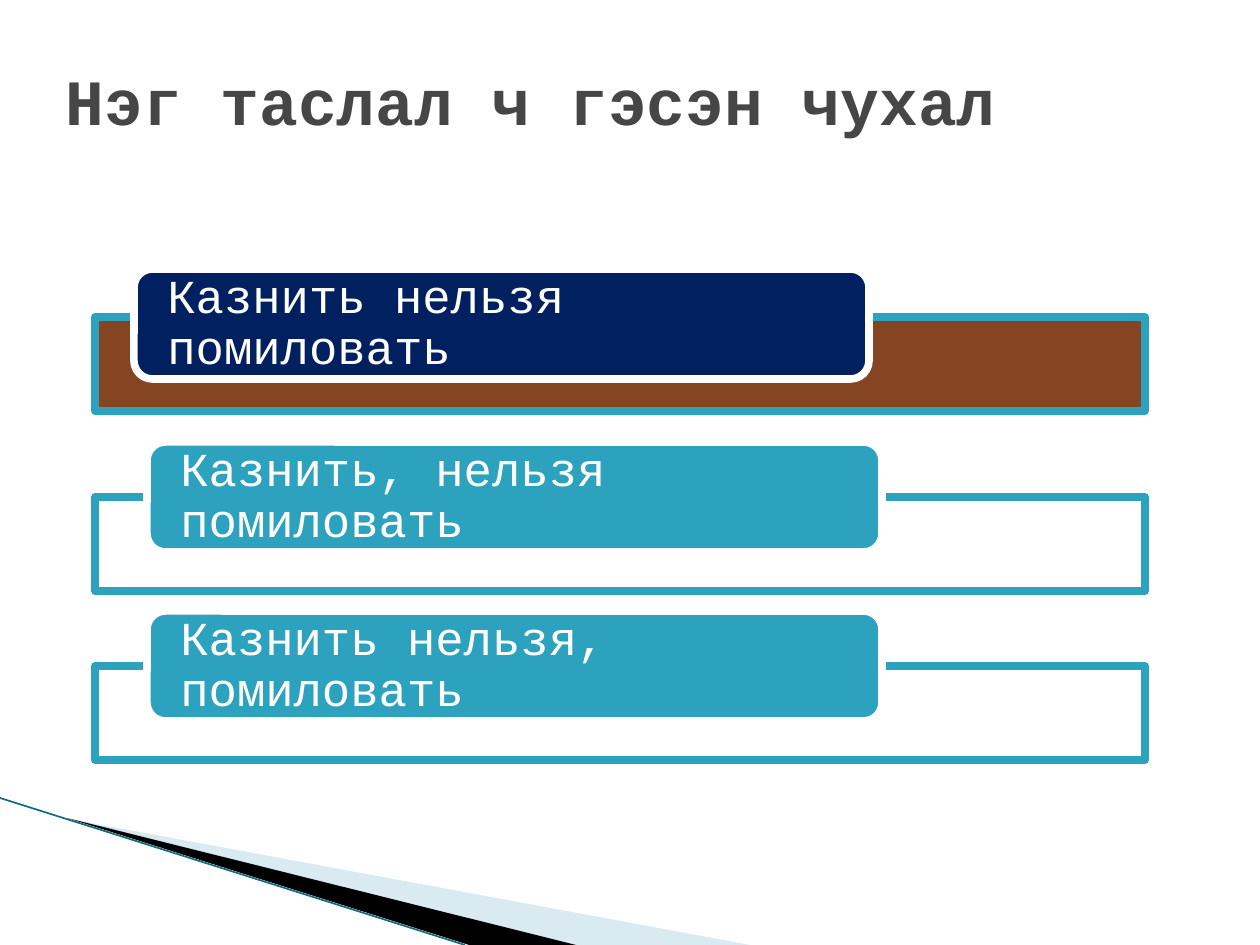
from lxml import etree
from pptx import Presentation
from pptx import util as u
from pptx.dml.color import RGBColor
from pptx.enum import shapes, text
from pptx.oxml.ns import qn

TEAL = RGBColor(0x2D, 0xA2, 0xBF)
DARK_TEAL = RGBColor(0x12, 0x6B, 0x80)
PALE_BLUE = RGBColor(0xA0, 0xCB, 0xDC)
NAVY = RGBColor(0x00, 0x20, 0x60)
BROWN = RGBColor(0x78, 0x31, 0x0B)
GREY = RGBColor(0x46, 0x46, 0x46)
WHITE = RGBColor(0xFF, 0xFF, 0xFF)
BLACK = RGBColor(0x00, 0x00, 0x00)
FONT = "Courier New"
SCALE = 914400 / 126


def px(*lengths):
    """Turn pixel lengths into a list of EMU lengths."""
    return [u.Emu(round(length * SCALE)) for length in lengths]


def style(shape, fill, opacity=100, line=None):
    shape.shadow.inherit = False
    shape.fill.solid()
    shape.fill.fore_color.rgb = fill
    if opacity < 100:
        color = shape.fill._xPr.find(qn("a:solidFill"))[0]
        etree.SubElement(color, qn("a:alpha"), val=str(opacity * 1000))
    if line is None:
        shape.line.fill.background()
    else:
        shape.line.color.rgb = line
        shape.line.width = u.Pt(4.33)


presentation = Presentation()
presentation.slide_width, presentation.slide_height = px(1260, 945)
slide = presentation.slides.add_slide(presentation.slide_layouts[5])

# Corner decoration
wedges = [
    ([(69, 819), (750, 945), (575, 945)], PALE_BLUE, 40),
    ([(67, 818), (576, 945), (469, 945)], BLACK, 100),
]
for points, color, opacity in wedges:
    builder = slide.shapes.build_freeform(*points[0], scale=SCALE)
    builder.add_line_segments(points[1:], close=True)
    style(builder.convert_to_shape(), color, opacity)

edge = slide.shapes.add_connector(
    shapes.MSO_CONNECTOR.STRAIGHT, *px(0, 798, 465, 945))
edge.line.color.rgb = DARK_TEAL
edge.line.width = u.Pt(0.95)
etree.SubElement(edge._element.spPr, qn("a:effectLst"))

# Title
title = slide.shapes.title
title.left, title.top, title.width, title.height = px(53, 63, 1176, 73)
title.text_frame.vertical_anchor = text.MSO_ANCHOR.MIDDLE
paragraph = title.text_frame.paragraphs[0]
paragraph.alignment = text.PP_ALIGN.LEFT
run = paragraph.add_run()
run.text = "Нэг таслал ч гэсэн чухал"
run.font.name = FONT
run.font.size = u.Pt(36.9)
run.font.bold = True
run.font.color.rgb = GREY

# Sentences: text, bar top, bar colour, label left, label top, label colour
sentences = [
    ("Казнить нельзя помиловать", 317, BROWN, 134, 269, NAVY),
    ("Казнить, нельзя помиловать", 497, WHITE, 147, 442, TEAL),
    ("Казнить нельзя, помиловать", 666, WHITE, 147, 611, TEAL),
]
for sentence, bar_top, bar_color, label_left, label_top, label_color in sentences:
    bar = slide.shapes.add_shape(
        shapes.MSO_SHAPE.RECTANGLE, *px(95, bar_top, 1050, 94))
    style(bar, bar_color, 90, TEAL)

    label = slide.shapes.add_shape(
        shapes.MSO_SHAPE.ROUNDED_RECTANGLE, *px(label_left, label_top, 735, 110))
    style(label, label_color, line=WHITE)
    frame = label.text_frame
    frame.word_wrap = True
    frame.vertical_anchor = text.MSO_ANCHOR.MIDDLE
    # The rounded corners add about 5 px to each inset
    frame.margin_left, frame.margin_right = px(28, 28)
    frame.margin_top = frame.margin_bottom = 0
    paragraph = frame.paragraphs[0]
    paragraph.alignment = text.PP_ALIGN.LEFT
    paragraph.line_spacing = 0.9
    run = paragraph.add_run()
    run.text = sentence
    run.font.name = FONT
    run.font.size = u.Pt(27)
    run.font.color.rgb = WHITE

presentation.save("out.pptx")
